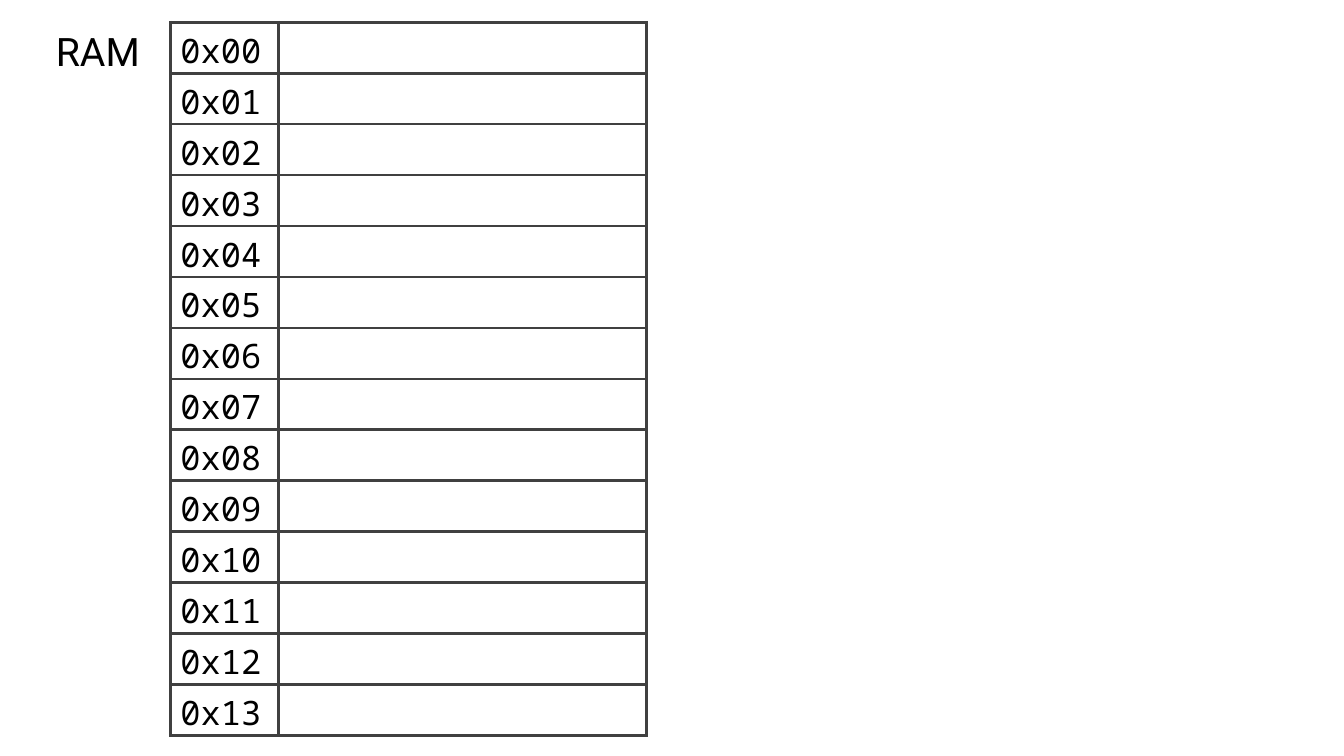
from lxml.etree import SubElement
from pptx import Presentation
from pptx.dml.color import RGBColor
from pptx.enum.text import MSO_ANCHOR, MSO_AUTO_SIZE, PP_ALIGN
from pptx.oxml.ns import qn
from pptx.util import Inches, Pt

COLORS = {"text": "000000", "border": "404040"}
ADDRESSES = [f"0x{number:02d}" for number in range(14)]


class MemorySlide:
    """Holds the style and the current slide of a memory diagram."""

    def __init__(self, presentation):
        self.title_font = "Roboto"
        self.address_font = "Noto Sans Mono"
        self.border_width = Pt(2.25)
        self.slide = presentation.slides.add_slide(presentation.slide_layouts[5])

    def format_text(self, paragraph, font_name, size):
        for run in paragraph.runs:
            run.font.name = font_name
            run.font.size = Pt(size)
            run.font.color.rgb = RGBColor.from_string(COLORS["text"])

    def add_title(self, text, left, top, width, height):
        title = self.slide.shapes.title
        title.left, title.top = Inches(left), Inches(top)
        title.width, title.height = Inches(width), Inches(height)
        frame = title.text_frame
        frame.text = text
        frame.word_wrap = True
        frame.auto_size = MSO_AUTO_SIZE.NONE
        frame.vertical_anchor = MSO_ANCHOR.TOP
        frame.paragraphs[0].alignment = PP_ALIGN.CENTER
        self.format_text(frame.paragraphs[0], self.title_font, 28)

    def add_borders(self, cell):
        properties = cell._tc.get_or_add_tcPr()
        for position, side in enumerate(("lnL", "lnR", "lnT", "lnB")):
            line = SubElement(properties, qn(f"a:{side}"), w=str(self.border_width))
            fill = SubElement(line, qn("a:solidFill"))
            SubElement(fill, qn("a:srgbClr"), val=COLORS["border"])
            properties.insert(position, line)

    def add_memory(self, addresses, left, top, column_widths, height):
        memory = self.slide.shapes.add_table(
            len(addresses), len(column_widths), Inches(left), Inches(top),
            Inches(sum(column_widths)), Inches(height)).table
        memory.first_row = memory.horz_banding = False
        for column, width in zip(memory.columns, column_widths):
            column.width = Inches(width)
        for row, address in zip(memory.rows, addresses):
            row.height = Inches(height / len(addresses))
            row.cells[0].text_frame.text = address
            for cell in row.cells:
                cell.margin_top, cell.margin_bottom = Inches(0.05), 0
                cell.fill.background()
                self.add_borders(cell)
                self.format_text(cell.text_frame.paragraphs[0], self.address_font, 24)


def main():
    presentation = Presentation()
    presentation.slide_width = Inches(13.33)
    presentation.slide_height = Inches(7.5)
    memory_slide = MemorySlide(presentation)
    memory_slide.add_title("RAM", 0.33, 0.22, 1.28, 0.57)
    memory_slide.add_memory(ADDRESSES, 1.69, 0.22, (1.07, 3.65), 7.08)
    presentation.save("out.pptx")


if __name__ == "__main__":
    main()
